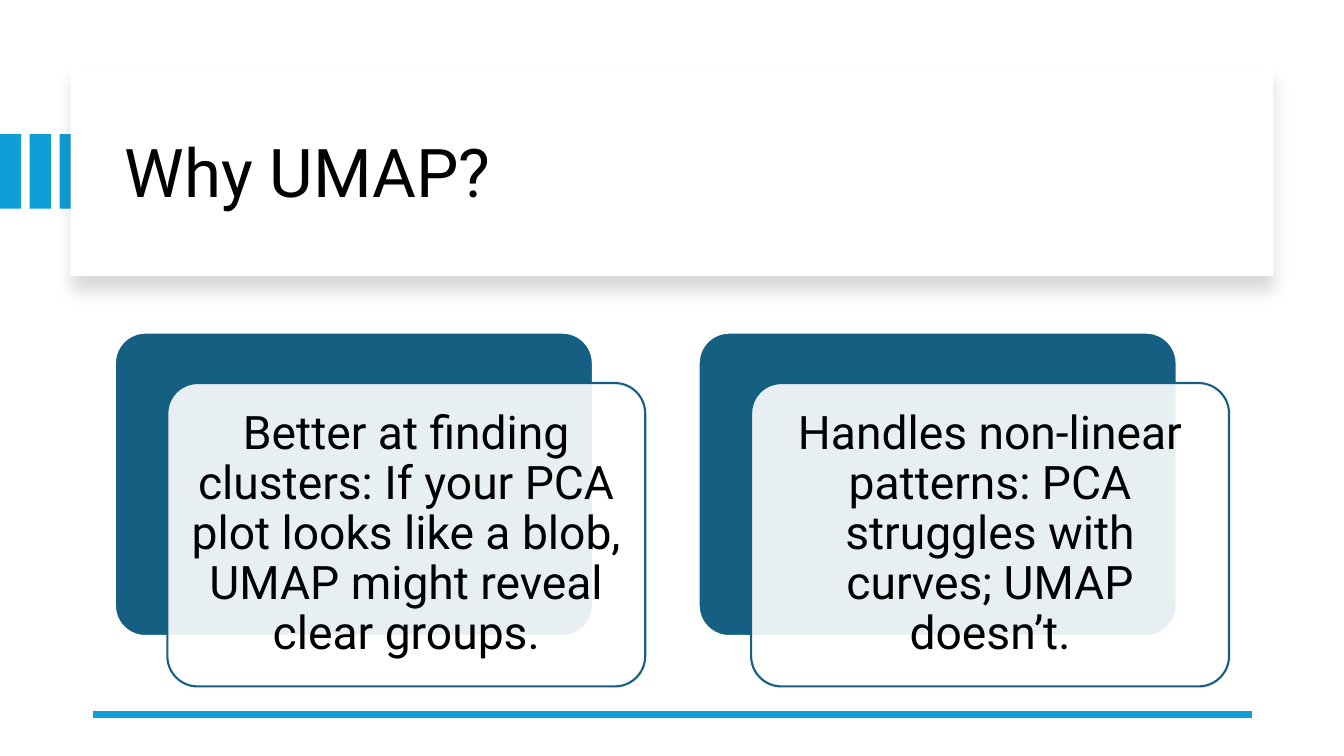
import pptx
import pptx.util
import pptx.dml.color
import pptx.enum.shapes
import pptx.enum.text
import pptx.oxml
import pptx.oxml.ns
import lxml.etree

Inches = pptx.util.Inches
Pt = pptx.util.Pt
SHAPE = pptx.enum.shapes.MSO_SHAPE
ALIGN = pptx.enum.text.PP_ALIGN
qn = pptx.oxml.ns.qn

FONT = "Roboto"
BLACK, WHITE, ACCENT, NAVY = "000000", "FFFFFF", "0F9ED5", "156082"
CARDS = [
    "Better at finding clusters: If your PCA plot looks like a blob, "
    "UMAP might reveal clear groups.",
    "Handles non-linear patterns: PCA struggles with curves; UMAP doesn’t.",
]


def rgb(value):
    return pptx.dml.color.RGBColor.from_string(value)


def add_box(s, kind, x, y, w, h, fill, line=None):
    sp = s.shapes.add_shape(kind, Inches(x), Inches(y), Inches(w), Inches(h))
    sp.shadow.inherit = False
    sp.fill.solid()
    sp.fill.fore_color.rgb = rgb(fill)
    if line:
        sp.line.color.rgb = rgb(line)
        sp.line.width = Pt(1.5)
    else:
        sp.line.fill.background()
    return sp


def add_text(s, text, x, y, w, h, size, align, inset):
    tb = s.shapes.add_textbox(Inches(x), Inches(y), Inches(w), Inches(h))
    tf = tb.text_frame
    tf.word_wrap = True
    tf.vertical_anchor = pptx.enum.text.MSO_ANCHOR.MIDDLE
    tf.margin_left = tf.margin_right = Inches(inset)
    tf.margin_top = tf.margin_bottom = Inches(inset)
    p = tf.paragraphs[0]
    p.alignment = align
    p.line_spacing = 0.9
    r = p.add_run()
    r.text = text
    r.font.name = FONT
    r.font.size = Pt(size)
    r.font.color.rgb = rgb(BLACK)


def set_alpha(sp, percent):
    """Make the solid fill of a shape partly transparent."""
    color = sp.fill._xPr.find(qn("a:solidFill"))[0]
    lxml.etree.SubElement(color, qn("a:alpha"), val=str(percent * 1000))


def add_drop_shadow(sp, opacity, blur, distance):
    """Cast a soft black shadow straight down."""
    effects = sp._element.spPr.find(qn("a:effectLst"))
    shadow = lxml.etree.SubElement(
        effects, qn("a:outerShdw"), blurRad=str(Pt(blur)), dist=str(Pt(distance)),
        dir=str(90 * 60000), algn="t", rotWithShape="0")
    color = lxml.etree.SubElement(shadow, qn("a:srgbClr"), val=BLACK)
    lxml.etree.SubElement(color, qn("a:alpha"), val=str(opacity * 1000))


def add_header(s, x, y, w, h, title):
    """Title panel with three accent bars running in from the slide edge."""
    for i in range(3):
        add_box(s, SHAPE.RECTANGLE, i * 0.295, y + 0.66, 0.21, 0.74, ACCENT)
    panel = add_box(s, SHAPE.RECTANGLE, x, y, w, h, WHITE)
    add_drop_shadow(panel, opacity=15, blur=11, distance=10)
    add_text(s, title, x + 0.44, y + 0.22, w - 0.8, h - 0.37, 48, ALIGN.LEFT, 0.1)


def add_card(s, x, y, w, h, text):
    """Solid rounded card with a translucent text card offset in front."""
    front_x, front_y, pad = x + 0.52, y + 0.5, 0.09
    back = add_box(s, SHAPE.ROUNDED_RECTANGLE, x, y, w, h, NAVY, WHITE)
    front = add_box(s, SHAPE.ROUNDED_RECTANGLE, front_x, front_y, w, h, WHITE, NAVY)
    set_alpha(front, 90)
    for sp in (back, front):
        sp.adjustments[0] = 0.1
    add_text(s, text, front_x + pad, front_y + pad, w - 2 * pad, h - 2 * pad,
             33, ALIGN.CENTER, 0.14)


def add_footer_rule(s, x, y, w):
    rule = s.shapes.add_connector(
        pptx.enum.shapes.MSO_CONNECTOR.STRAIGHT,
        Inches(x + w), Inches(y), Inches(x), Inches(y))
    rule.line.color.rgb = rgb(ACCENT)
    rule.line.width = Pt(4.5)
    lxml.etree.SubElement(rule._element.spPr, qn("a:effectLst"))


def main():
    prs = pptx.Presentation()
    prs.slide_width, prs.slide_height = Inches(13.33), Inches(7.5)
    s = prs.slides.add_slide(prs.slide_layouts[6])
    add_header(s, 0.7, 0.67, 11.93, 2.07, "Why UMAP?")
    add_footer_rule(s, 0.92, 7.09, 11.5)
    for i, text in enumerate(CARDS):
        add_card(s, 1.14 + i * 5.79, 3.3, 4.74, 3.01, text)
    prs.save("out.pptx")


if __name__ == "__main__":
    main()
